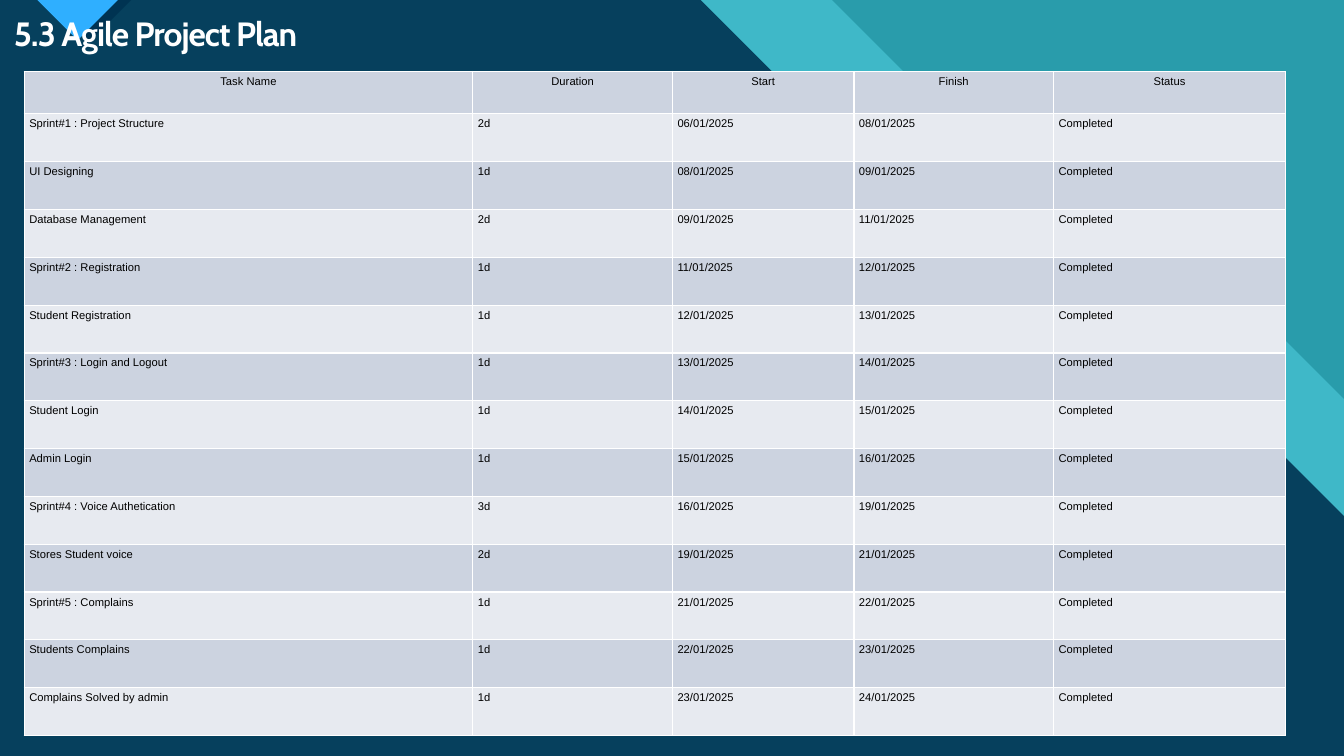
from lxml.etree import SubElement
from pptx import Presentation
from pptx.dml.color import RGBColor
from pptx.enum.text import MSO_ANCHOR, PP_ALIGN
from pptx.oxml import parse_xml
from pptx.oxml.ns import nsdecls, qn
from pptx.util import Inches, Pt

WIDTH, HEIGHT = 13.33, 7.5
TEAL = RGBColor(0x29, 0x9C, 0xAB)
AQUA = RGBColor(0x47, 0xC3, 0xD3)
NAVY = RGBColor(0x00, 0x33, 0x52)
SKY_BLUE = RGBColor(0x2F, 0xAF, 0xFF)
WHITE = RGBColor(0xFF, 0xFF, 0xFF)
BLACK = RGBColor(0x00, 0x00, 0x00)
ROW_COLORS = (RGBColor(0xCC, 0xD3, 0xE0), RGBColor(0xE7, 0xEA, 0xF0))

HEADERS = ("Task Name", "Duration", "Start", "Finish", "Status")
COLUMN_WIDTHS = (4.45, 1.98, 1.8, 1.98, 2.3)
HEADER_HEIGHT = 0.42
TASKS = (
    ("Sprint#1 : Project Structure", "2d", "06/01/2025", "08/01/2025"),
    ("UI Designing", "1d", "08/01/2025", "09/01/2025"),
    ("Database Management", "2d", "09/01/2025", "11/01/2025"),
    ("Sprint#2 : Registration", "1d", "11/01/2025", "12/01/2025"),
    ("Student Registration", "1d", "12/01/2025", "13/01/2025"),
    ("Sprint#3 : Login and Logout", "1d", "13/01/2025", "14/01/2025"),
    ("Student Login", "1d", "14/01/2025", "15/01/2025"),
    ("Admin Login", "1d", "15/01/2025", "16/01/2025"),
    ("Sprint#4 : Voice Authetication", "3d", "16/01/2025", "19/01/2025"),
    ("Stores Student voice", "2d", "19/01/2025", "21/01/2025"),
    ("Sprint#5 : Complains", "1d", "21/01/2025", "22/01/2025"),
    ("Students Complains", "1d", "22/01/2025", "23/01/2025"),
    ("Complains Solved by admin", "1d", "23/01/2025", "24/01/2025"),
)
STATUS = "Completed"


def add_polygon(slide, left, top, points, color, opacity=100):
    """Draw a filled polygon whose points are relative to left and top."""
    corners = [(Inches(left + x), Inches(top + y)) for x, y in points]
    builder = slide.shapes.build_freeform(*corners[0], scale=1.0)
    builder.add_line_segments(corners[1:], close=True)
    shape = builder.convert_to_shape()
    shape.shadow.inherit = False
    shape.line.fill.background()
    shape.fill.solid()
    shape.fill.fore_color.rgb = color
    if opacity < 100:
        color_element = shape.fill._xPr.find(".//" + qn("a:srgbClr"))
        SubElement(color_element, qn("a:alpha")).set("val", str(opacity * 1000))


def add_backdrop(slide, left, top, width, height):
    """Paint the teal background with its diagonal bands and corner triangles."""
    slide.background.fill.solid()
    slide.background.fill.fore_color.rgb = TEAL
    bands = (
        (((8.25, 0), (11.22, 2.97), (12.34, 2.97), (width, 3.96)), AQUA, 74),
        (((6.95, 0), (9.92, 2.97), (11.18, 2.97), (width, 5.12)), NAVY, 90),
    )
    for edge, color, opacity in bands:
        points = ((0, 0), *edge, (width, height), (0, height))
        add_polygon(slide, left, top, points, color, opacity)
    for offset, size, color in ((0.48, 0.82, NAVY), (0.37, 0.8, SKY_BLUE)):
        points = ((0, 0), (size, 0), (size / 2, size / 2))
        add_polygon(slide, left + offset, top, points, color)


def add_title(slide, left, top, width, height):
    """Place the slide heading in the given box."""
    box = slide.shapes.add_textbox(*map(Inches, (left, top, width, height)))
    frame = box.text_frame
    frame.word_wrap = True
    frame.vertical_anchor = MSO_ANCHOR.MIDDLE
    frame.text = "5.3 Agile Project Plan"
    paragraph = frame.paragraphs[0]
    paragraph.line_spacing = 0.9
    run = paragraph.runs[0]
    run.font.name = "Cabin"
    run.font.size = Pt(24)
    run.font.bold = True
    run.font.color.rgb = WHITE
    run._r.get_or_add_rPr().set("spc", "-70")


def format_cell(cell, text, color, alignment):
    """Fill one table cell with text, colour and white borders."""
    cell.margin_left = cell.margin_right = Inches(0.05)
    cell.margin_top = cell.margin_bottom = 0
    cell.text_frame.text = text
    paragraph = cell.text_frame.paragraphs[0]
    paragraph.alignment = alignment
    paragraph.line_spacing = 1.3
    paragraph.space_after = Pt(8)
    font = paragraph.runs[0].font
    font.name = "Arial"
    font.size = Pt(8)
    font.color.rgb = BLACK
    properties = cell._tc.get_or_add_tcPr()
    for side in ("lnL", "lnR", "lnT", "lnB"):
        properties.append(parse_xml(
            f'<a:{side} {nsdecls("a")} w="{Pt(1)}"><a:solidFill>'
            f'<a:srgbClr val="{WHITE}"/></a:solidFill></a:{side}>'))
    cell.fill.solid()
    cell.fill.fore_color.rgb = color


def add_plan_table(slide, left, top, width, height):
    """Lay out the sprint schedule as a striped table in the given box."""
    rows = (HEADERS, *((*task, STATUS) for task in TASKS))
    table = slide.shapes.add_table(
        len(rows), len(HEADERS), *map(Inches, (left, top, width, height))).table
    table.first_row = table.horz_banding = False
    for column, share in zip(table.columns, COLUMN_WIDTHS):
        column.width = Inches(width * share / sum(COLUMN_WIDTHS))
    task_height = (height - HEADER_HEIGHT) / len(TASKS)
    for index, texts in enumerate(rows):
        table.rows[index].height = Inches(task_height if index else HEADER_HEIGHT)
        alignment = PP_ALIGN.LEFT if index else PP_ALIGN.CENTER
        for cell, text in zip(table.rows[index].cells, texts):
            format_cell(cell, text, ROW_COLORS[index % 2], alignment)


def main():
    """Build the project plan slide and save it."""
    presentation = Presentation()
    presentation.slide_width = Inches(WIDTH)
    presentation.slide_height = Inches(HEIGHT)
    slide = presentation.slides.add_slide(presentation.slide_layouts[6])
    add_backdrop(slide, 0, 0, WIDTH, HEIGHT)
    add_title(slide, 0.04, 0.12, 12.26, 0.46)
    add_plan_table(slide, 0.24, 0.71, 12.51, 6.59)
    presentation.save("out.pptx")


if __name__ == "__main__":
    main()
